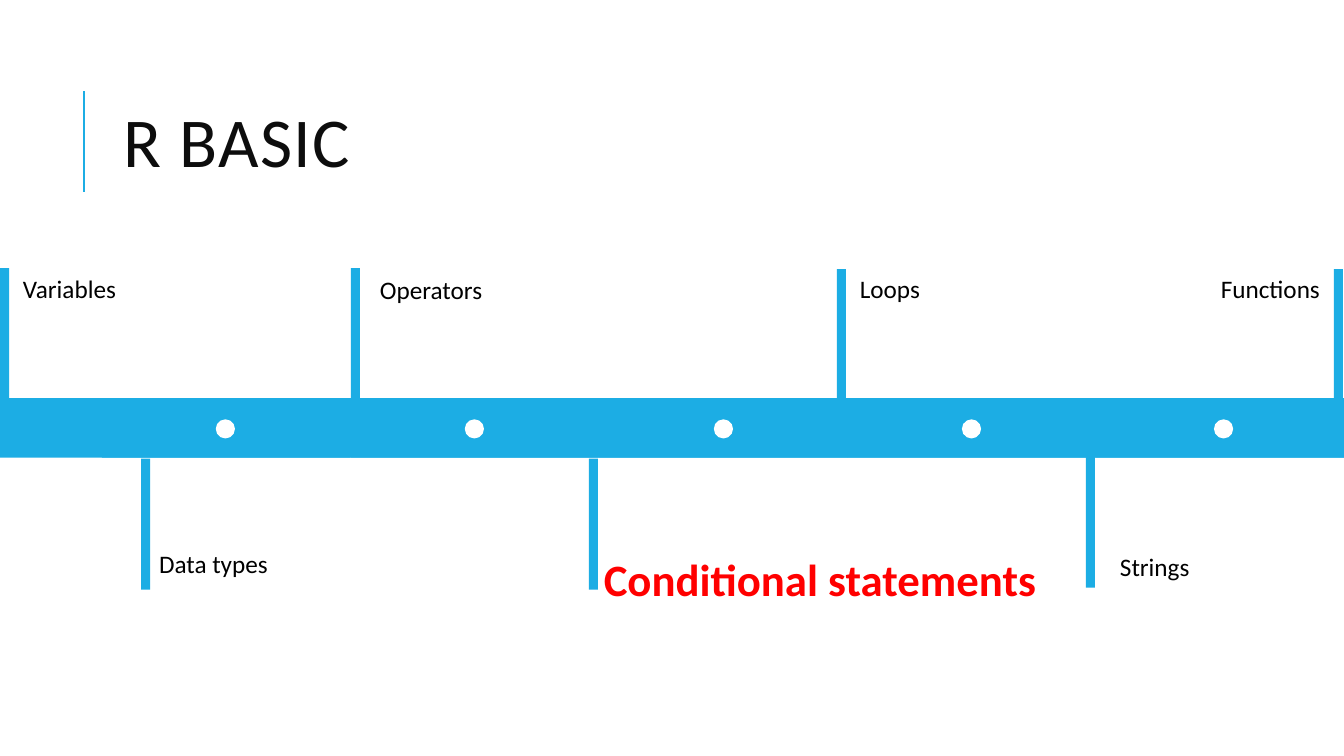
from dataclasses import dataclass

from lxml.etree import SubElement
from pptx import Presentation
from pptx.dml.color import RGBColor
from pptx.enum.shapes import MSO_CONNECTOR, MSO_SHAPE
from pptx.enum.text import MSO_ANCHOR, PP_ALIGN
from pptx.oxml.ns import qn
from pptx.slide import Slide
from pptx.text.text import TextFrame
from pptx.util import Inches, Pt

BLUE = RGBColor(0x1C, 0xAD, 0xE4)
WHITE = RGBColor(0xFF, 0xFF, 0xFF)
BLACK = RGBColor(0, 0, 0)
RED = RGBColor(0xFF, 0, 0)
TITLE_INK = RGBColor(0x0D, 0x0D, 0x0D)

SLIDE_WIDTH, SLIDE_HEIGHT = 13.33, 7.5
BAND_TOP, BAND_HEIGHT = 3.95, 0.59
SEGMENT_LEFT, SEGMENT_WIDTH, SEGMENT_COUNT = 1.01, 2.464, 5
MARKER_WIDTH, MARKER_HEIGHT = 0.09, 1.3
DOT_SIZE, DOT_TOP = 0.19, 4.16
DOT_LEFTS = (2.14, 4.61, 7.08, 9.54, 12.04)

PLAIN = {"size": Pt(18), "name": "Calibri", "bold": False}
CURRENT = {"size": Pt(32), "name": "Calibri", "bold": True}
TITLE = {"size": Pt(50), "name": "Calibri", "bold": False}


@dataclass
class Topic:
    name: str
    marker_left: float
    marker_top: float
    left: float
    top: float
    width: float
    height: float = 0.4
    current: bool = False


TOPICS = (
    Topic("Variables", 0, 2.66, 0.13, 2.66, 1.2),
    Topic("Data types", 1.4, 4.55, 1.48, 5.39, 1.32),
    Topic("Operators", 3.48, 2.66, 3.67, 2.67, 1.25),
    Topic("Conditional statements", 5.84, 4.55, 5.89, 5.42, 4.97, 0.64, True),
    Topic("Loops", 8.3, 2.67, 8.43, 2.66, 0.84),
    Topic("Strings", 10.77, 4.53, 11.01, 5.42, 0.96),
    Topic("Functions", 13.23, 2.67, 12.01, 2.66, 1.27),
)


def add_solid(page: Slide, kind: MSO_SHAPE, left: float, top: float,
              width: float, height: float, color: RGBColor) -> None:
    shape = page.shapes.add_shape(
        kind, Inches(left), Inches(top), Inches(width), Inches(height))
    shape.shadow.inherit = False
    shape.fill.solid()
    shape.fill.fore_color.rgb = color
    shape.line.fill.background()


def write(frame: TextFrame, text: str, style: dict, color: RGBColor) -> None:
    frame.word_wrap = True
    para = frame.paragraphs[0]
    para.alignment = PP_ALIGN.LEFT
    span = para.add_run()
    span.text = text
    for key, value in style.items():
        setattr(span.font, key, value)
    span.font.color.rgb = color


def add_title(page: Slide) -> None:
    title = page.shapes.title
    title.left, title.top = Inches(1.12), Inches(0.64)
    title.width, title.height = Inches(10.63), Inches(1.64)
    frame = title.text_frame
    frame.vertical_anchor = MSO_ANCHOR.MIDDLE
    write(frame, "R BASIC", TITLE, TITLE_INK)
    para = frame.paragraphs[0]
    para.line_spacing = 0.8
    # Letter spacing of one point
    para.runs[0]._r.get_or_add_rPr().set("spc", "100")

    rule = page.shapes.add_connector(
        MSO_CONNECTOR.STRAIGHT, Inches(0.83), Inches(1.9), Inches(0.83), Inches(0.9))
    rule.line.color.rgb = BLUE
    rule.line.width = Pt(1.5)
    SubElement(rule._element.spPr, qn("a:effectLst"))


def add_topic(page: Slide, topic: Topic) -> None:
    add_solid(page, MSO_SHAPE.RECTANGLE, topic.marker_left, topic.marker_top,
              MARKER_WIDTH, MARKER_HEIGHT, BLUE)
    box = page.shapes.add_textbox(
        Inches(topic.left), Inches(topic.top), Inches(topic.width), Inches(topic.height))
    style, color = (CURRENT, RED) if topic.current else (PLAIN, BLACK)
    write(box.text_frame, topic.name, style, color)


deck = Presentation()
deck.slide_width, deck.slide_height = Inches(SLIDE_WIDTH), Inches(SLIDE_HEIGHT)
page = deck.slides.add_slide(deck.slide_layouts[5])
add_title(page)

# Timeline band and its segments
add_solid(page, MSO_SHAPE.RECTANGLE, 0, BAND_TOP, SLIDE_WIDTH, BAND_HEIGHT, BLUE)
for index in range(SEGMENT_COUNT):
    add_solid(page, MSO_SHAPE.RECTANGLE, SEGMENT_LEFT + index * SEGMENT_WIDTH,
              BAND_TOP, SEGMENT_WIDTH, BAND_HEIGHT, BLUE)

# Dots on the band
for dot_left in DOT_LEFTS:
    add_solid(page, MSO_SHAPE.OVAL, dot_left, DOT_TOP, DOT_SIZE, DOT_SIZE, WHITE)

# Topics with their markers
for topic in TOPICS:
    add_topic(page, topic)

deck.save("out.pptx")
